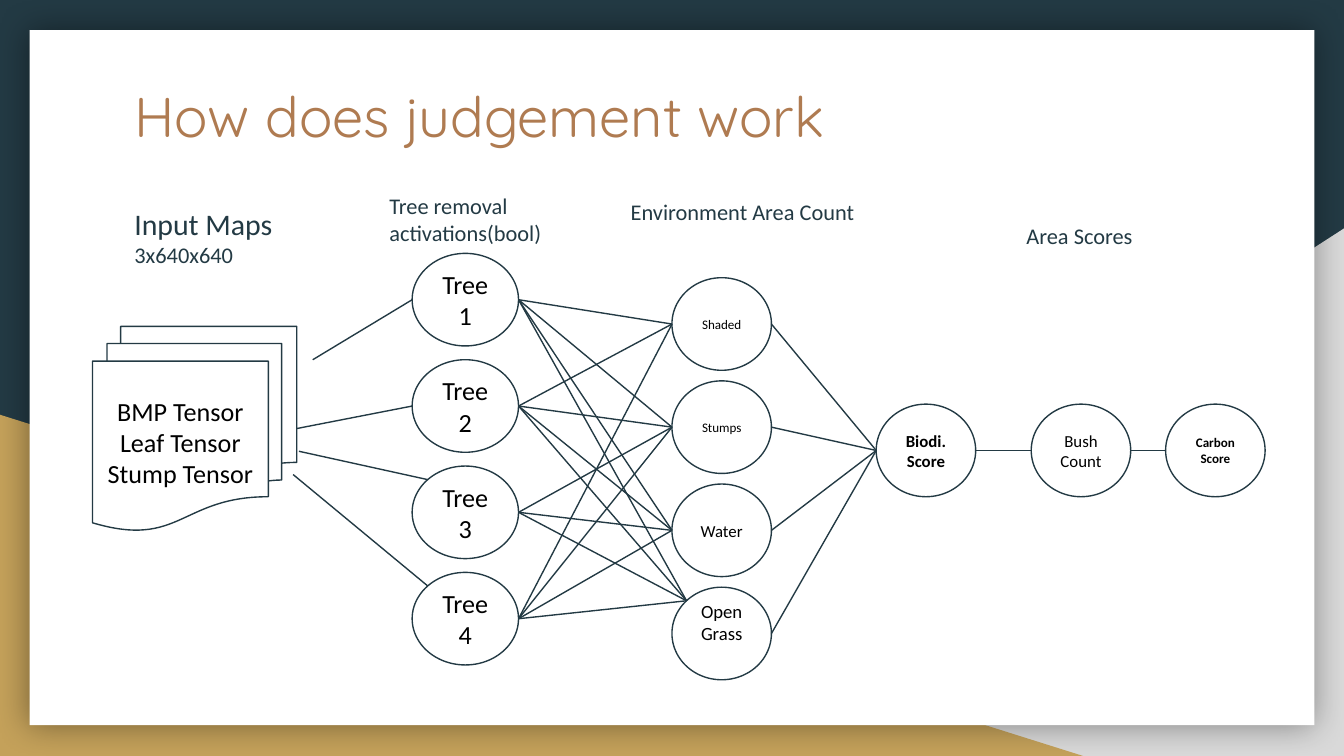
from dataclasses import dataclass
from math import sqrt

from lxml.etree import SubElement
from pptx import Presentation
from pptx.dml.color import RGBColor
from pptx.enum.shapes import MSO_CONNECTOR as Link, MSO_SHAPE as Shape
from pptx.enum.text import MSO_ANCHOR as Anchor, MSO_AUTO_SIZE as AutoSize, PP_ALIGN as Align
from pptx.oxml.ns import qn
from pptx.util import Cm, Pt


@dataclass(frozen=True)
class Theme:
    dark: str = "233A44"
    grey: str = "D9D9D9"
    gold: str = "C4A15A"
    white: str = "FFFFFF"
    black: str = "000000"
    copper: str = "AF7B51"
    heading: str = "Quicksand"
    body: str = "Calibri"
    title: int = 30
    lead: int = 16
    large: int = 14
    label: int = 12
    medium: int = 10
    small: int = 9
    tiny: int = 7
    stroke: float = 0.75
    inset: float = 0.25


@dataclass(frozen=True)
class Box:
    left: float
    top: float
    width: float
    height: float

    def lengths(self) -> tuple:
        return Cm(self.left), Cm(self.top), Cm(self.width), Cm(self.height)


@dataclass(frozen=True)
class Node:
    text: str
    size: int
    box: Box
    kind: Shape = Shape.OVAL
    bold: bool = False
    bottom_inset: float = 0.25

    def west(self) -> tuple:
        return self.box.left, self.box.top + self.box.height / 2

    def east(self) -> tuple:
        return self.box.left + self.box.width, self.box.top + self.box.height / 2

    def northwest(self) -> tuple:
        k = (1 - sqrt(0.5)) / 2
        return self.box.left + k * self.box.width, self.box.top + k * self.box.height


@dataclass(frozen=True)
class Caption:
    lines: tuple
    box: Box


T = Theme()
SLIDE = Box(0, 0, 25.4, 14.29)
PANEL = Box(0.56, 0.57, 24.28, 13.14)
TITLE = Box(2.29, 1.3, 20.85, 2.64)
INPUTS = Node("BMP Tensor\nLeaf Tensor\nStump Tensor", T.large,
              Box(1.75, 6.17, 3.86, 3.86), Shape.FLOWCHART_MULTIDOCUMENT)
TREES = [Node(f"Tree {i + 1}", T.large, Box(7.79, 4.79 + 2.01 * i, 2.01, 1.75),
              Shape.FLOWCHART_CONNECTOR) for i in range(4)]
AREA_LABELS = [("Shaded", T.tiny, 0.25), ("Stumps", T.tiny, 0.25),
               ("Water", T.small, 0.25), ("Open Grass", T.medium, 0.68)]
AREAS = [Node(text, size, Box(12.7, 5.25 + 1.95 * i, 1.88, 1.75), bottom_inset=inset)
         for i, (text, size, inset) in enumerate(AREA_LABELS)]
SCORES = [Node(text, size, Box(left, 7.64, 1.88, 1.75), bold=bold)
          for text, size, left, bold in [("Biodi. Score", T.small, 16.56, True),
                                         ("Bush Count", T.small, 19.49, False),
                                         ("Carbon Score", T.tiny, 22.03, True)]]
CAPTIONS = [
    Caption((("Input Maps", T.lead), ("3x640x640", T.label)), Box(2.29, 3.63, 3.35, 1.17)),
    Caption((("Tree removal activations(bool)", T.label),), Box(7.11, 3.38, 3.58, 1.42)),
    Caption((("Environment Area Count", T.label),), Box(11.67, 3.5, 4.9, 1.02)),
    Caption((("Area Scores", T.label),), Box(19.15, 3.95, 2.54, 1.02)),
]
INPUT_EXITS = [(5.91, 6.8), (5.61, 8.1), (5.65, 8.53), (5.54, 8.97)]
SKIPPED = {(2, 0)}


def rgb(value: str) -> RGBColor:
    return RGBColor.from_string(value)


def add_block(s, kind: Shape, box: Box, fill: str, outlined: bool = False):
    sp = s.shapes.add_shape(kind, *box.lengths())
    sp.shadow.inherit = False
    sp.fill.solid()
    sp.fill.fore_color.rgb = rgb(fill)
    if outlined:
        sp.line.color.rgb = rgb(T.dark)
        sp.line.width = Pt(T.stroke)
    else:
        sp.line.fill.background()
    return sp


def write(tf, lines, color: str, font: str = T.body, align: Align = Align.LEFT,
          anchor: Anchor = Anchor.TOP, bold: bool = False) -> None:
    tf.word_wrap = True
    tf.auto_size = AutoSize.NONE
    tf.vertical_anchor = anchor
    tf.margin_left = tf.margin_right = tf.margin_top = tf.margin_bottom = Cm(T.inset)
    for i, (text, size) in enumerate(lines):
        p = tf.paragraphs[0] if i == 0 else tf.add_paragraph()
        p.alignment = align
        r = p.add_run()
        r.text = text
        r.font.name = font
        r.font.size = Pt(size)
        r.font.bold = bold
        r.font.color.rgb = rgb(color)


def add_node(s, node: Node) -> None:
    sp = add_block(s, node.kind, node.box, T.white, outlined=True)
    lines = [(line, node.size) for line in node.text.split("\n")]
    write(sp.text_frame, lines, T.black, align=Align.CENTER, anchor=Anchor.MIDDLE, bold=node.bold)
    sp.text_frame.margin_bottom = Cm(node.bottom_inset)


def add_caption(s, caption: Caption) -> None:
    write(s.shapes.add_textbox(*caption.box.lengths()).text_frame, caption.lines, T.dark)


def add_line(s, start: tuple, end: tuple) -> None:
    line = s.shapes.add_connector(Link.STRAIGHT, *(Cm(v) for v in start + end))
    line.line.color.rgb = rgb(T.dark)
    line.line.width = Pt(T.stroke)
    SubElement(line._element.spPr, qn("a:effectLst"))


def add_backdrop(s) -> None:
    s.background.fill.solid()
    s.background.fill.fore_color.rgb = rgb(T.dark)
    grey = add_block(s, Shape.RIGHT_TRIANGLE, Box(9.96, 4.32, 15.44, 9.97), T.grey)
    grey._element.spPr.find(qn("a:xfrm")).set("flipH", "1")
    add_block(s, Shape.RIGHT_TRIANGLE, Box(0, 7.84, 20.47, 6.45), T.gold)
    panel = add_block(s, Shape.RECTANGLE, PANEL, T.white)
    effects = panel._element.spPr.find(qn("a:effectLst"))
    shadow = SubElement(effects, qn("a:outerShdw"), blurRad=str(Pt(18)), dist="0",
                        dir="0", algn="ctr", rotWithShape="0")
    color = SubElement(shadow, qn("a:srgbClr"), val=T.black)
    SubElement(color, qn("a:alpha"), val="40000")


def add_title(s, text: str) -> None:
    title = s.shapes.title
    title._element.getparent().append(title._element)
    title.left, title.top, title.width, title.height = TITLE.lengths()
    write(title.text_frame, [(text, T.title)], T.copper, T.heading)


def add_links(s) -> None:
    for i, (start, tree) in enumerate(zip(INPUT_EXITS, TREES)):
        add_line(s, start, tree.west() if i < 2 else tree.northwest())
    for i, tree in enumerate(TREES):
        for j, area in enumerate(AREAS):
            if (i, j) not in SKIPPED:
                add_line(s, tree.east(), area.northwest() if area is AREAS[-1] else area.west())
    for area in AREAS:
        add_line(s, area.east(), SCORES[0].west())
    for score, following in zip(SCORES, SCORES[1:]):
        add_line(s, score.east(), following.west())


def main() -> None:
    prs = Presentation()
    prs.slide_width, prs.slide_height = Cm(SLIDE.width), Cm(SLIDE.height)
    s = prs.slides.add_slide(prs.slide_layouts[5])
    add_backdrop(s)
    add_title(s, "How does judgement work")
    for node in [INPUTS, *TREES, *AREAS, *SCORES]:
        add_node(s, node)
    for caption in CAPTIONS:
        add_caption(s, caption)
    add_links(s)
    prs.save("out.pptx")


if __name__ == "__main__":
    main()
